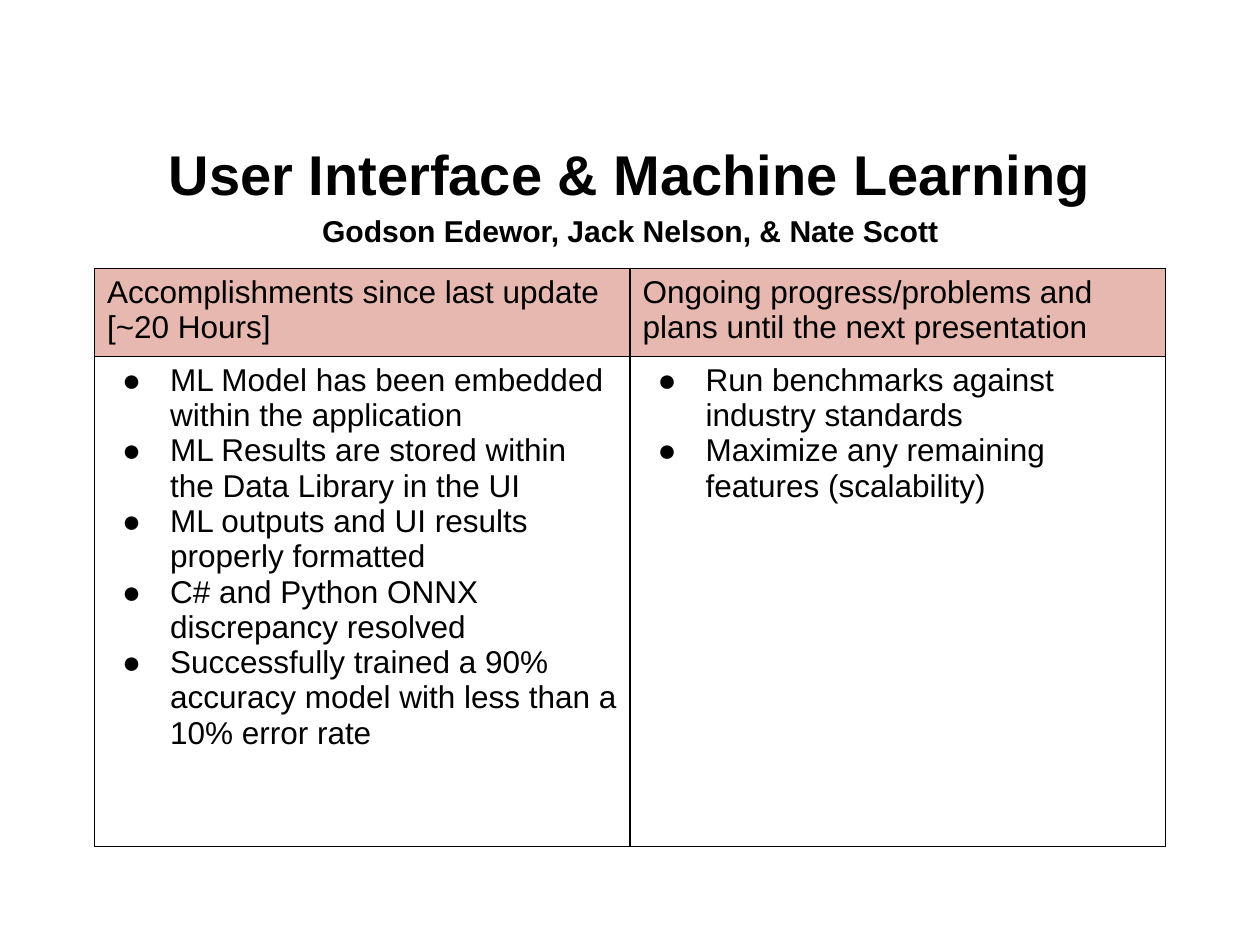
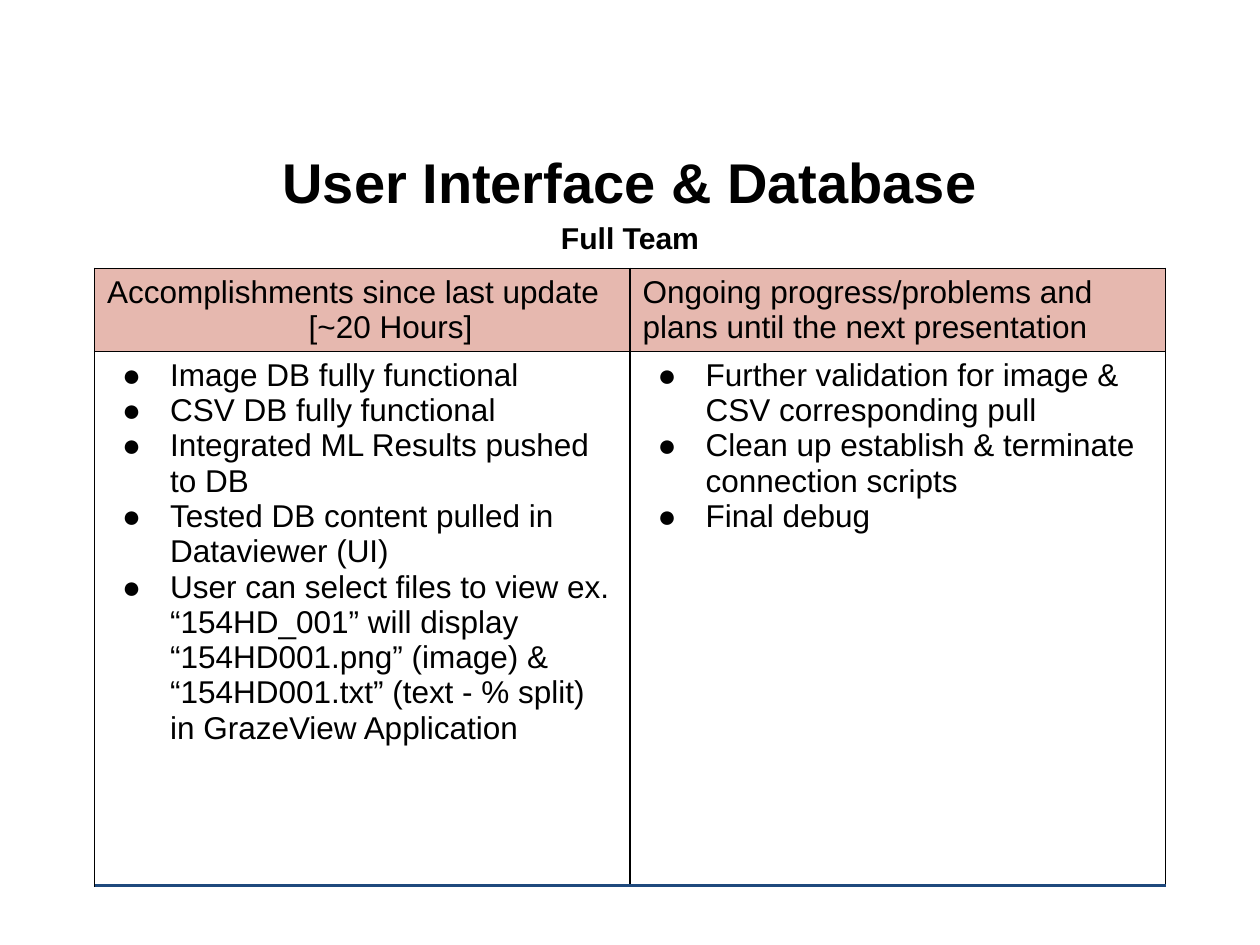
from lxml.etree import SubElement
from pptx import Presentation
from pptx.dml.color import RGBColor
from pptx.enum.shapes import MSO_CONNECTOR
from pptx.enum.text import MSO_ANCHOR, MSO_AUTO_SIZE, PP_ALIGN
from pptx.oxml.ns import qn
from pptx.util import Inches, Pt

BLACK = RGBColor(0x00, 0x00, 0x00)
HEADER_PINK = RGBColor(0xE6, 0xB8, 0xAF)
FOOTER_BLUE = RGBColor(0x1F, 0x49, 0x7D)
FONT = "Arial"
TITLE_SIZES = (32, 17.2)
TABLE_LEFT, TABLE_TOP, COLUMN_WIDTH = 0.75, 2.13, 4.25
TABLE_RIGHT = TABLE_LEFT + 2 * COLUMN_WIDTH
FOOTER_TOP = 7.03
BULLET_INDENT, BULLET_HANG = 0.5, 0.38

PLANS_HEADER = ["Ongoing progress/problems and plans until the next presentation"]
HOURS_HEADER = ["Accomplishments since last update", "[~20 Hours]"]

UPDATES = [
    {
        "title": ["User Interface & Machine Learning",
                  "Godson Edewor, Jack Nelson, & Nate Scott"],
        "title_top": 1.06,
        "row_heights": (0.7, 3.89),
        "hours_indent": 0,
        "footer_line": False,
        "accomplishments": [
            "ML Model has been embedded within the application",
            "ML Results are stored within the Data Library in the UI",
            "ML outputs and UI results properly formatted",
            "C# and Python ONNX discrepancy resolved",
            "Successfully trained a 90% accuracy model with less than a 10% error rate",
        ],
        "plans": [
            "Run benchmarks against industry standards",
            "Maximize any remaining features (scalability)",
        ],
    },
    {
        "title": ["User Interface & Database", "Full Team"],
        "title_top": 1.12,
        "row_heights": (0.66, FOOTER_TOP - TABLE_TOP - 0.66),
        "hours_indent": 1.6,
        "footer_line": True,
        "accomplishments": [
            "Image DB fully functional",
            "CSV DB fully functional",
            "Integrated ML Results pushed to DB",
            "Tested DB content pulled in Dataviewer (UI)",
            "User can select files to view ex. “154HD_001” will display "
            "“154HD001.png” (image) & “154HD001.txt” (text - % split) "
            "in GrazeView Application",
        ],
        "plans": [
            "Further validation for image & CSV corresponding pull",
            "Clean up establish & terminate connection scripts",
            "Final debug",
        ],
    },
]


def format_runs(paragraph, size, bold):
    for run in paragraph.runs:
        run.font.name = FONT
        run.font.size = Pt(size)
        run.font.bold = bold
        run.font.color.rgb = BLACK


def fill_cell(cell, lines, bulleted):
    """Write the lines into a table cell and give it thin black borders."""
    cell.text_frame.text = "\n".join(lines)
    for paragraph in cell.text_frame.paragraphs:
        if bulleted:
            properties = paragraph._p.get_or_add_pPr()
            properties.set("marL", str(Inches(BULLET_INDENT)))
            properties.set("indent", str(-Inches(BULLET_HANG)))
            SubElement(properties, qn("a:buFont"), typeface=FONT)
            SubElement(properties, qn("a:buChar"), char="●")
        format_runs(paragraph, 18, False)
    cell_properties = cell._tc.get_or_add_tcPr()
    for side in ("lnL", "lnR", "lnT", "lnB"):
        border = SubElement(cell_properties, qn(f"a:{side}"), w=str(Pt(1)))
        border_fill = SubElement(border, qn("a:solidFill"))
        SubElement(border_fill, qn("a:srgbClr"), val=str(BLACK))


presentation = Presentation()
presentation.slide_width = Inches(10)
presentation.slide_height = Inches(7.5)
title_only = presentation.slide_layouts.get_by_name("Title Only")

for update in UPDATES:
    slide = presentation.slides.add_slide(title_only)

    title = slide.shapes.title
    title.left, title.top = Inches(0.5), Inches(update["title_top"])
    title.width, title.height = Inches(9), Inches(0.88)
    title.text_frame.text = "\n".join(update["title"])
    title.text_frame.auto_size = MSO_AUTO_SIZE.NONE
    title.text_frame.vertical_anchor = MSO_ANCHOR.MIDDLE
    for paragraph, size in zip(title.text_frame.paragraphs, TITLE_SIZES):
        paragraph.alignment = PP_ALIGN.CENTER
        paragraph.line_spacing = 1.15
        format_runs(paragraph, size, True)

    table = slide.shapes.add_table(
        2, 2, Inches(TABLE_LEFT), Inches(TABLE_TOP),
        Inches(2 * COLUMN_WIDTH), Inches(sum(update["row_heights"]))).table
    table.first_row = False
    table.horz_banding = False
    for column in table.columns:
        column.width = Inches(COLUMN_WIDTH)
    for row, height in zip(table.rows, update["row_heights"]):
        row.height = Inches(height)

    table_columns = [(HOURS_HEADER, update["accomplishments"]),
                     (PLANS_HEADER, update["plans"])]
    for column_index, (header, items) in enumerate(table_columns):
        header_cell = table.cell(0, column_index)
        fill_cell(header_cell, header, bulleted=False)
        header_cell.fill.solid()
        header_cell.fill.fore_color.rgb = HEADER_PINK
        body_cell = table.cell(1, column_index)
        fill_cell(body_cell, items, bulleted=True)
        body_cell.fill.background()

    hours = table.cell(0, 0).text_frame.paragraphs[1]
    hours._p.get_or_add_pPr().set("marL", str(Inches(update["hours_indent"])))

    if update["footer_line"]:
        footer_line = slide.shapes.add_connector(
            MSO_CONNECTOR.STRAIGHT, Inches(TABLE_LEFT), Inches(FOOTER_TOP),
            Inches(TABLE_RIGHT), Inches(FOOTER_TOP))
        footer_line.line.color.rgb = FOOTER_BLUE
        footer_line.line.width = Pt(1.5)
        SubElement(footer_line._element.spPr, qn("a:effectLst"))

presentation.save("out.pptx")
